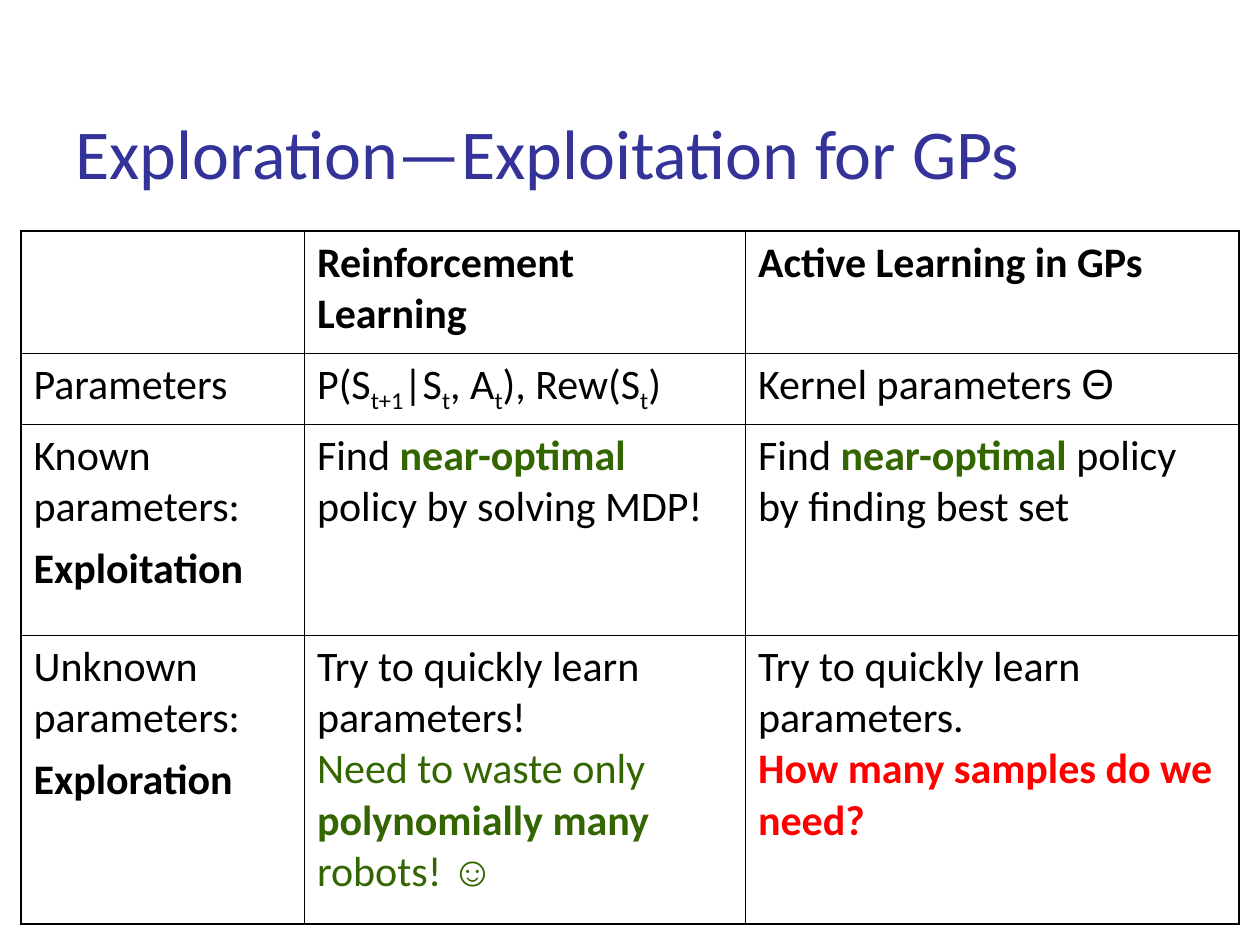
from collections import namedtuple
from lxml import etree
from pptx import Presentation
from pptx.dml.color import RGBColor
from pptx.enum import text
from pptx.oxml import ns
from pptx.util import Pt

Theme = namedtuple("Theme", "font symbol_font title ink green red title_size body_size")
theme = Theme("Calibri", "Arial", "333399", "000000", "336600", "FF0000", 40, 24)
THIN, THICK = 0.45, 1.08


def write(p, runs):
    for content, style in runs:
        for i, line in enumerate(content.split("\n")):
            if i:
                p.add_line_break()
            if not line:
                continue
            r = p.add_run()
            r.text = line
            r.font.name = theme.symbol_font if "symbol" in style else theme.font
            r.font.size = Pt(theme.body_size)
            r.font.bold = "bold" in style
            color = theme.green if "green" in style else theme.red if "red" in style else theme.ink
            r.font.color.rgb = RGBColor.from_string(color)
            if "sub" in style:
                r._r.get_or_add_rPr().set("baseline", "-25000")


def border(cell, side, width):
    ln = etree.SubElement(cell._tc.get_or_add_tcPr(), ns.qn(f"a:ln{side}"), w=str(int(Pt(width))))
    fill = etree.SubElement(ln, ns.qn("a:solidFill"))
    etree.SubElement(fill, ns.qn("a:srgbClr"), val=theme.ink)


prs = Presentation()
prs.slide_width, prs.slide_height = Pt(720), Pt(540)
s = prs.slides.add_slide(prs.slide_layouts[5])

title = s.shapes.title
title.left, title.top, title.width, title.height = Pt(36), Pt(12), Pt(606), Pt(102)
tf = title.text_frame
tf.text = "Exploration—Exploitation for GPs"
tf.auto_size = text.MSO_AUTO_SIZE.NONE
tf.vertical_anchor = text.MSO_ANCHOR.BOTTOM
p = tf.paragraphs[0]
p.alignment = text.PP_ALIGN.LEFT
r = p.runs[0]
r.font.name = theme.font
r.font.size = Pt(theme.title_size)
r.font.color.rgb = RGBColor.from_string(theme.title)

rows = [
    [[], [[("Reinforcement\nLearning", "bold")]], [[("Active Learning in GPs", "bold")]]],
    [
        [[("Parameters", "")]],
        [[("P(S", ""), ("t+1", "sub"), ("|S", ""), ("t", "sub"), (", A", ""), ("t", "sub"),
          ("), Rew(S", ""), ("t", "sub"), (")", "")]],
        [[("Kernel parameters ", ""), ("Θ", "symbol")]],
    ],
    [
        [[("Known parameters:", "")], [("Exploitation", "bold")]],
        [[("Find ", ""), ("near-optimal ", "green bold"), ("policy by solving MDP!", "")]],
        [[("Find ", ""), ("near-optimal ", "green bold"), ("policy by finding best set", "")]],
    ],
    [
        [[("Unknown parameters:", "")], [("Exploration", "bold")]],
        [[("Try to quickly learn parameters! \n", ""), ("Need to waste only ", "green"),
          ("polynomially many ", "green bold"), ("robots! ", "green"), ("☺", "green symbol")]],
        [[("Try to quickly learn parameters. \n", ""),
          ("How many samples do we need?", "red bold")]],
    ],
]
widths = [162, 252, 282]
heights = [69.75, 40.5, 120.75, 165]
table = s.shapes.add_table(
    len(rows), len(widths), Pt(12), Pt(132), Pt(sum(widths)), Pt(sum(heights))
).table
table.first_row = table.horz_banding = False
for column, width in zip(table.columns, widths):
    column.width = Pt(width)
for row, height in zip(table.rows, heights):
    row.height = Pt(height)

for i, row in enumerate(rows):
    for j, paragraphs in enumerate(row):
        cell = table.cell(i, j)
        for k, runs in enumerate(paragraphs):
            p = cell.text_frame.add_paragraph() if k else cell.text_frame.paragraphs[0]
            if k:
                p.space_before = Pt(6)
            write(p, runs)
        outer = {"L": j == 0, "R": j == len(widths) - 1, "T": i == 0, "B": i == len(rows) - 1}
        for side, is_outer in outer.items():
            border(cell, side, THICK if is_outer else THIN)
        cell.fill.background()

prs.save("out.pptx")
